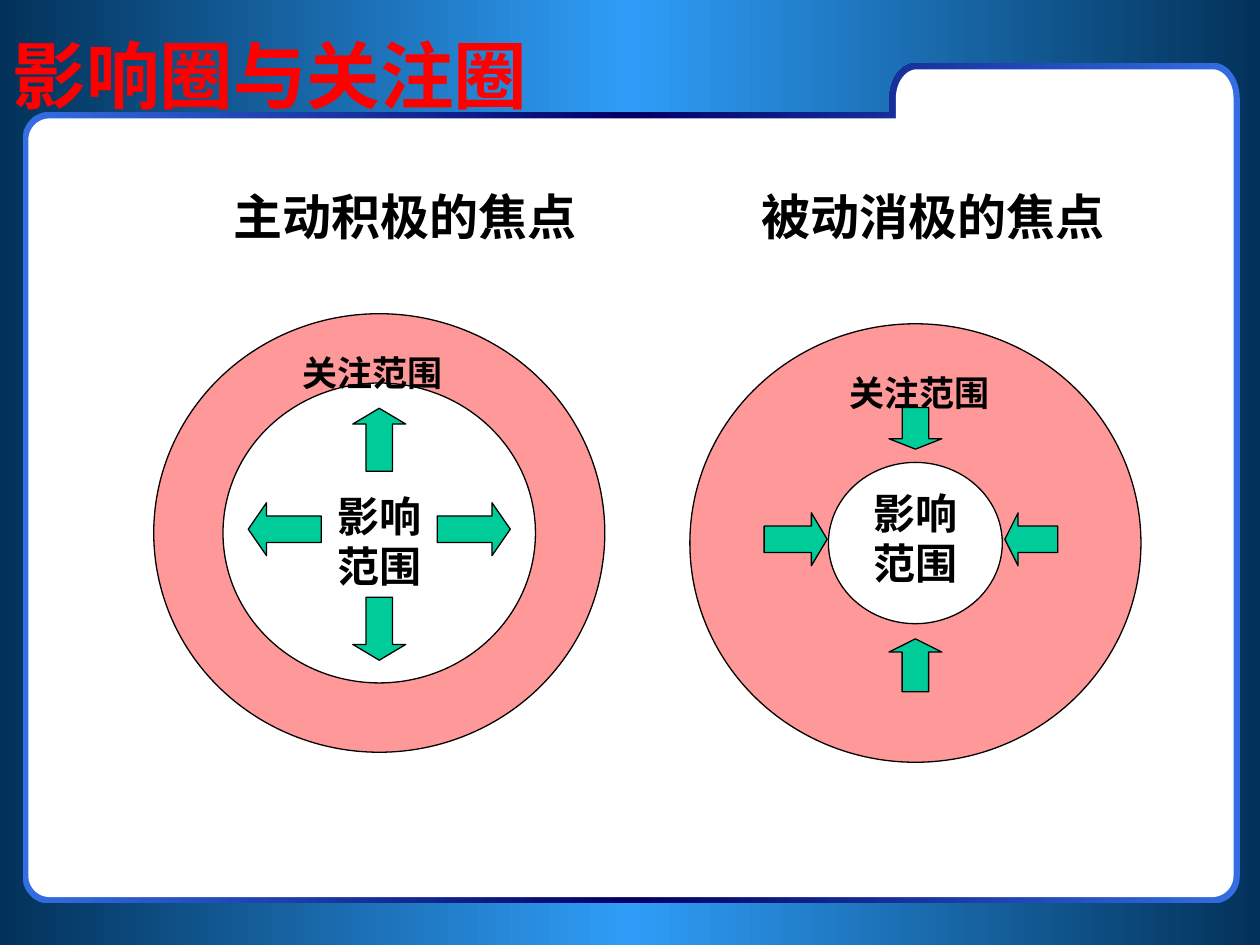
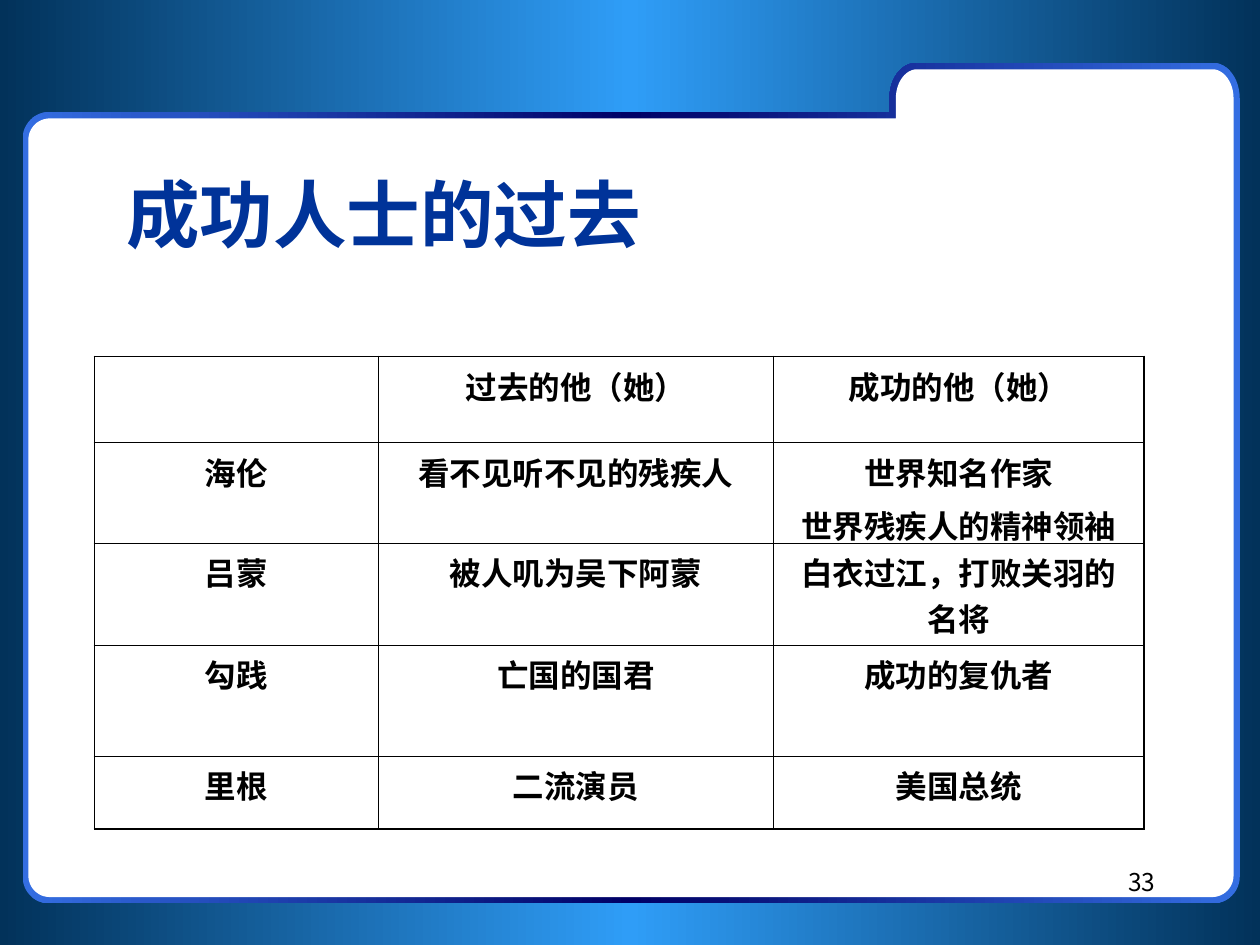
from copy import deepcopy
from dataclasses import dataclass
from math import cos, radians, sin

from lxml import etree
from pptx import Presentation
from pptx.dml.color import RGBColor
from pptx.enum.shapes import MSO_SHAPE
from pptx.enum.text import MSO_ANCHOR, MSO_AUTO_SIZE, PP_ALIGN
from pptx.oxml.ns import qn
from pptx.util import Inches, Pt

LEFT, CENTER, RIGHT = PP_ALIGN.LEFT, PP_ALIGN.CENTER, PP_ALIGN.RIGHT
MIDDLE = MSO_ANCHOR.MIDDLE
NO_AUTOFIT = MSO_AUTO_SIZE.NONE
RECTANGLE, DONUT, ARROW = MSO_SHAPE.RECTANGLE, MSO_SHAPE.DONUT, MSO_SHAPE.RIGHT_ARROW

BLACK = RGBColor(0x00, 0x00, 0x00)
WHITE = RGBColor(0xFF, 0xFF, 0xFF)
RED = RGBColor(0xFF, 0x00, 0x00)
TITLE_BLUE = RGBColor(0x00, 0x33, 0x99)
DEEP_BLUE = RGBColor(0x02, 0x32, 0x5A)
SKY_BLUE = RGBColor(0x2F, 0x9D, 0xF7)
RIM_BLUE = RGBColor(0x34, 0x6E, 0xE2)
NAVY = RGBColor(0x00, 0x00, 0x66)
PINK = RGBColor(0xFF, 0x99, 0x99)
GREEN = RGBColor(0x00, 0xCC, 0x99)

HAN_FONT = "Noto Sans CJK SC"
LATIN_FONT = "Times New Roman"
NUMBER_FONT = "Noto Sans CJK KR"

COLUMNS, ROWS = 100, 75
UNIT = Inches(0.1)
ARROW_BREADTH = 4.2
THIN, THICK = Pt(0.45), Pt(1.08)


@dataclass
class Box:
    left: float
    top: float
    width: float
    height: float

    def within(self, left, top, width, height):
        return Box(self.left + left, self.top + top, width, height)

    def around(self, across, down, width, height):
        return self.within(self.width / 2 + across - width / 2,
                           self.height / 2 + down - height / 2, width, height)

    def emu(self):
        return [round(side * UNIT) for side in (self.left, self.top, self.width, self.height)]


PAGE = Box(0, 0, COLUMNS, ROWS)


def write(paragraph, text, size, color=BLACK, font=HAN_FONT, bold=True, align=CENTER):
    paragraph.alignment = align
    run = paragraph.add_run()
    run.text = text
    run.font.size = Pt(size)
    run.font.bold = bold
    run.font.color.rgb = color
    run.font.name = font
    east_asian = etree.Element(qn("a:ea"), typeface=HAN_FONT)
    run.font._element.find(qn("a:latin")).addnext(east_asian)


def add_label(slide, box, text, size, wrap=True, **style):
    frame = slide.shapes.add_textbox(*box.emu()).text_frame
    frame.word_wrap = wrap
    write(frame.paragraphs[0], text, size, **style)


def add_title(slide, box, text, color):
    title = slide.shapes.title
    title.left, title.top, title.width, title.height = box.emu()
    frame = title.text_frame
    frame.auto_size = NO_AUTOFIT
    frame.vertical_anchor = MIDDLE
    write(frame.paragraphs[0], text, 42, color, align=LEFT)


def add_outlined(slide, kind, box, color):
    shape = slide.shapes.add_shape(kind, *box.emu())
    shape.shadow.inherit = False
    shape.fill.solid()
    shape.fill.fore_color.rgb = color
    shape.line.color.rgb = BLACK
    shape.line.width = Pt(0.75)
    return shape


def fill_gradient(shape, edge, middle):
    shape.fill.gradient()
    shape.fill.gradient_angle = 0
    stops = shape.element.find(".//" + qn("a:gsLst"))
    stops.append(deepcopy(stops[0]))
    for stop, position, color in zip(shape.fill.gradient_stops, (0, 0.5, 1), (edge, middle, edge)):
        stop.position = position
        stop.color.rgb = color


def corner(x, y, across, down, start):
    angles = [radians(start + step * 7.5) for step in range(13)]
    return [(x + across * cos(angle), y + down * sin(angle)) for angle in angles]


def add_folder(slide, box, tab_left, shelf, radius, tab_radius):
    left, top = box.left, box.top
    right, bottom = left + box.width, top + box.height
    outline = [
        *corner(left + radius, shelf + radius, radius, radius, 180),
        (tab_left, shelf),
        *corner(tab_left + radius, top + tab_radius, radius, tab_radius, 180),
        *corner(right - radius, top + tab_radius, radius, tab_radius, 270),
        *corner(right - radius, bottom - radius, radius, radius, 0),
        *corner(left + radius, bottom - radius, radius, radius, 90),
    ]
    points = [(x * UNIT, y * UNIT) for x, y in outline]
    builder = slide.shapes.build_freeform(*points[0])
    builder.add_line_segments(points[1:])
    folder = builder.convert_to_shape()
    folder.shadow.inherit = False
    folder.line.fill.background()
    return folder


def build_backdrop(master, slide, box):
    band = slide.shapes.add_shape(RECTANGLE, *box.emu())
    band.shadow.inherit = False
    band.line.fill.background()
    fill_gradient(band, DEEP_BLUE, SKY_BLUE)
    rim = add_folder(slide, box.within(1.8, 5, 96.6, 66.7), 70.6, 8.9, 2.1, 2.8)
    fill_gradient(rim, RIM_BLUE, NAVY)
    sheet = add_folder(slide, box.within(2.25, 5.5, 95.65, 65.7), 71.1, 9.4, 1.7, 2.3)
    sheet.fill.solid()
    sheet.fill.fore_color.rgb = WHITE
    for place, shape in enumerate((band, rim, sheet), start=2):
        master.shapes.element.insert(place, shape.element)


def add_focus(slide, box, ring_width, influence_drop, concern_spot, arrows):
    ring = add_outlined(slide, DONUT, box, PINK)
    ring.adjustments[0] = ring_width / box.height
    add_label(slide, box.around(0, influence_drop, 9.2, 9), "影响范围", 24, font=LATIN_FONT)
    add_label(slide, box.within(*concern_spot, 13.3, 5.2), "关注范围", 20, wrap=False, align=LEFT)
    for across, down, length, turn in arrows:
        arrow = add_outlined(slide, ARROW, box.around(across, down, length, ARROW_BREADTH), GREEN)
        arrow.rotation = turn
        arrow.adjustments[1] = length / 4 / min(length, ARROW_BREADTH)


def build_circles_slide(slide, box):
    add_label(slide, box.within(14, 14.3, 36.3, 5.7), "主动积极的焦点", 28, font=LATIN_FONT)
    add_label(slide, box.within(58.1, 14.3, 31.9, 5.7), "被动消极的焦点", 28, font=LATIN_FONT)
    outward = [(-7.5, -0.3, 5.8, 180), (0, 7.6, 5, 90), (0, -7.4, 5, 270), (7.5, -0.3, 5.8, 0)]
    inward = [(9.2, -0.3, 4.2, 180), (0, -9.1, 3.3, 90), (-9.5, -0.3, 5, 0), (0, 9.7, 4.2, 270)]
    add_focus(slide, box.within(12.2, 24.9, 35.8, 34.8), 5.5, 0.6, (10.8, 2.5), outward)
    add_focus(slide, box.within(54.75, 25.7, 35.8, 34.8), 11, -0.4, (11.7, 3.3), inward)
    add_title(slide, box.within(0, 0, 85, 11.7), "影响圈与关注圈", RED)


def border_cell(cell, widths):
    properties = cell._tc.get_or_add_tcPr()
    for place, (side, width) in enumerate(zip("LRTB", widths)):
        line = etree.Element(qn(f"a:ln{side}"), w=str(int(width)))
        fill = etree.SubElement(line, qn("a:solidFill"))
        etree.SubElement(fill, qn("a:srgbClr"), val=str(BLACK))
        properties.insert(place, line)


def add_comparison(slide, box, columns, rows, entries):
    table = slide.shapes.add_table(len(rows), len(columns), *box.emu()).table
    table.first_row = table.horz_banding = False
    for column, width in zip(table.columns, columns):
        column.width = round(width * UNIT)
    for row, height in zip(table.rows, rows):
        row.height = round(height * UNIT)
    last_row, last_column = len(rows) - 1, len(columns) - 1
    for r, entry in enumerate(entries):
        for c, text in enumerate(entry):
            cell = table.cell(r, c)
            cell.fill.background()
            outer = (c == 0, c == last_column, r == 0, r == last_row)
            border_cell(cell, [THICK if edge else THIN for edge in outer])
            frame = cell.text_frame
            for place, line in enumerate(text.splitlines()):
                paragraph = frame.add_paragraph() if place else frame.paragraphs[0]
                if place:
                    paragraph.space_before = Pt(4.5)
                write(paragraph, line, 18)


def build_people_slide(slide, box):
    add_label(slide, box.within(71.9, 68.3, 20.8, 4.2), "33", 14,
              font=NUMBER_FONT, bold=False, align=RIGHT)
    add_title(slide, box.within(9, 10.7, 85, 12.5), "成功人士的过去", TITLE_BLUE)
    add_comparison(
        slide, box.within(7.5, 28.3, 83.3, 37.5),
        (22.5, 31.4, 29.4), (6.8, 8, 8.1, 8.8, 5.8),
        [
            ("", "过去的他（她）", "成功的他（她）"),
            ("海伦", "看不见听不见的残疾人", "世界知名作家\n世界残疾人的精神领袖"),
            ("吕蒙", "被人叽为吴下阿蒙", "白衣过江，打败关羽的名将"),
            ("勾践", "亡国的国君", "成功的复仇者"),
            ("里根", "二流演员", "美国总统"),
        ])


def main():
    deck = Presentation()
    deck.slide_width, deck.slide_height = COLUMNS * UNIT, ROWS * UNIT
    title_only = deck.slide_layouts[5]
    circles = deck.slides.add_slide(title_only)
    build_backdrop(deck.slide_master, circles, PAGE)
    build_circles_slide(circles, PAGE)
    build_people_slide(deck.slides.add_slide(title_only), PAGE)
    deck.save("out.pptx")


if __name__ == "__main__":
    main()
